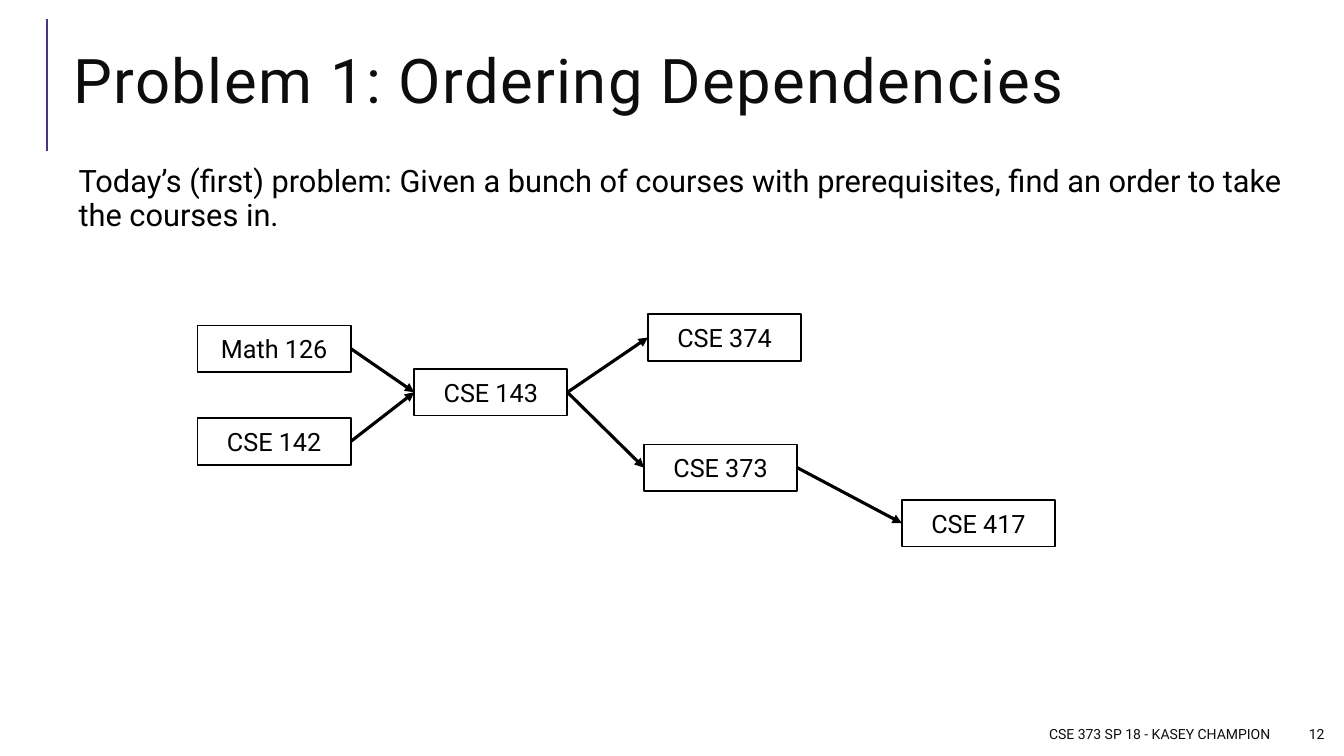
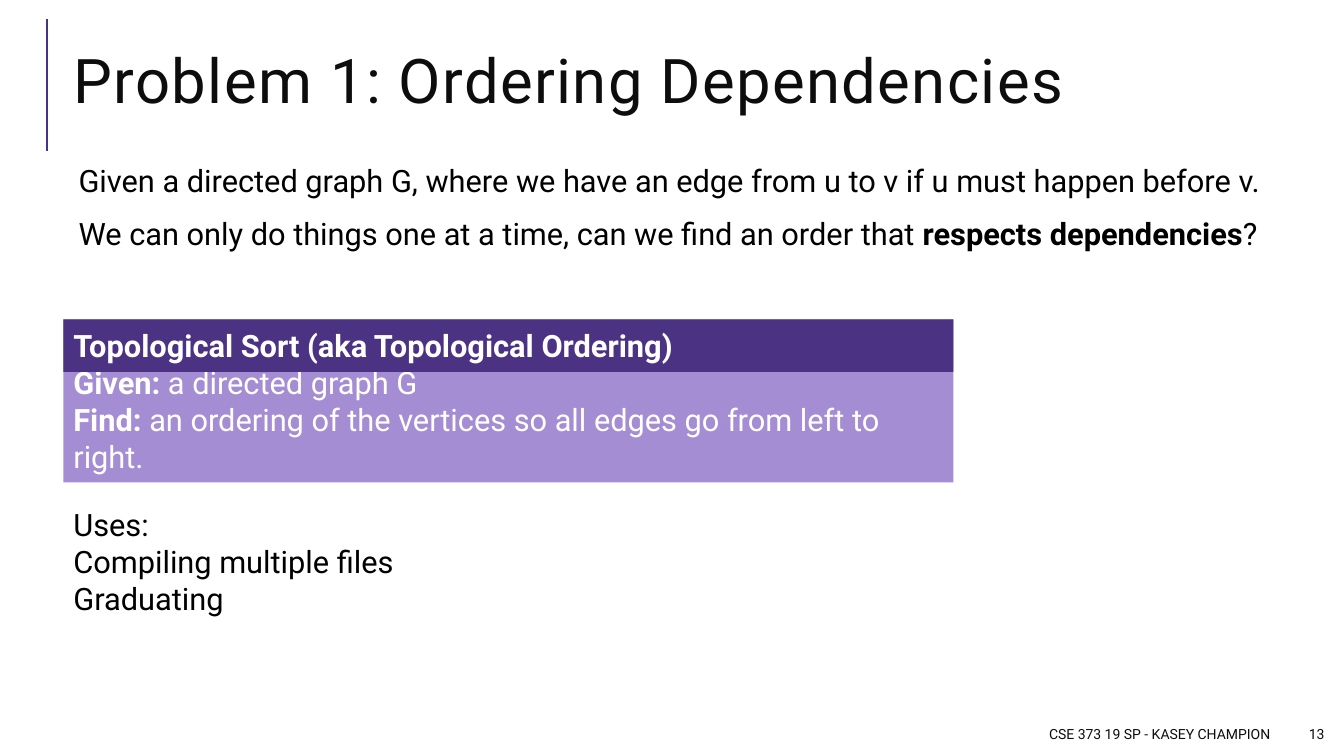
from lxml import etree
from pptx import Presentation
from pptx import util as u
from pptx.dml.color import RGBColor
from pptx.enum import shapes, text
from pptx.oxml import ns

COLORS = {
    "ink": "000000",
    "heading": "0D0D0D",
    "paper": "FFFFFF",
    "purple": "4C3282",
    "lavender": "A48DD3",
}
FONT = "Roboto"
LEFT = 1.6
CONTENT_WIDTH = 31.06
COURSE_SIZE = (3.86, 1.17)


def color(name):
    """Return the named colour."""
    return RGBColor.from_string(COLORS[name])


class Deck:
    """Hold the shared style and the current slide."""

    def __init__(self):
        """Start an empty widescreen presentation."""
        self.presentation = Presentation()
        self.presentation.slide_width = u.Cm(33.87)
        self.presentation.slide_height = u.Cm(19.05)
        self.slide = None

    def new_slide(self, title, footer, number):
        """Add a slide with its rule, title and footer."""
        layout = self.presentation.slide_layouts[1]
        self.slide = self.presentation.slides.add_slide(layout)
        self.line((1.19, 3.81), (1.19, 0.48), "purple", 1.5)
        self.title(title)
        self.footer(footer, 15.88, 16.38)
        self.footer(str(number), 32.46, 1.17)

    def place(self, shape, left, top, width, height):
        """Move and size a shape in centimetres."""
        shape.left, shape.top = u.Cm(left), u.Cm(top)
        shape.width, shape.height = u.Cm(width), u.Cm(height)

    def set_text(self, shape, lines, size, ink="ink",
                 align=text.PP_ALIGN.LEFT, anchor=text.MSO_ANCHOR.MIDDLE):
        """Fill a shape with lines, where ** switches bold on and off."""
        frame = shape.text_frame
        frame.word_wrap = True
        frame.auto_size = text.MSO_AUTO_SIZE.NONE
        frame.vertical_anchor = anchor
        frame.text = "\n".join(lines)
        for paragraph, line in zip(frame.paragraphs, lines):
            paragraph.alignment = align
            pieces = line.split("**")
            paragraph.text = pieces[0]
            for position, piece in enumerate(pieces[1:], 1):
                run = paragraph.add_run()
                run.text = piece
                run.font.bold = position % 2 == 1
            for run in paragraph.runs:
                run.font.name = FONT
                run.font.size = u.Pt(size)
                run.font.color.rgb = color(ink)
        return frame

    def title(self, content):
        """Fill and place the slide title."""
        shape = self.slide.shapes.title
        self.place(shape, LEFT, 0.74, CONTENT_WIDTH, 2.82)
        frame = self.set_text(shape, [content], 44, "heading")
        paragraph = frame.paragraphs[0]
        paragraph.line_spacing = 0.8
        for run in paragraph.runs:
            run._r.get_or_add_rPr().set("spc", "100")

    def body(self, lines, height):
        """Fill the body placeholder without visible bullets."""
        shape = self.slide.placeholders[1]
        self.place(shape, LEFT, 4.06, CONTENT_WIDTH, height)
        frame = self.set_text(shape, lines, 22, anchor=text.MSO_ANCHOR.TOP)
        frame.margin_left = u.Cm(0.38)
        frame.margin_top = frame.margin_right = frame.margin_bottom = u.Cm(0.13)
        for position, paragraph in enumerate(frame.paragraphs):
            properties = paragraph._p.get_or_add_pPr()
            properties.set("marL", "0")
            properties.set("indent", "0")
            etree.SubElement(properties, ns.qn("a:buNone"))
            paragraph.line_spacing = 0.9
            paragraph.space_before = u.Pt(12 if position else 0)
            paragraph.space_after = u.Pt(2)

    def text_box(self, lines, box, size, ink="ink", **layout):
        """Add a wrapped text box."""
        shape = self.slide.shapes.add_textbox(*map(u.Cm, box))
        self.set_text(shape, lines, size, ink, **layout)

    def footer(self, content, left, width):
        """Add one right-aligned footer entry."""
        self.text_box([content], (left, 18.11, width, 0.76), 10, "heading",
                      align=text.PP_ALIGN.RIGHT)

    def rectangle(self, lines, box, size, fill, ink, outline=None, **layout):
        """Add a filled rectangle with text and return it."""
        shape = self.slide.shapes.add_shape(
            shapes.MSO_SHAPE.RECTANGLE, *map(u.Cm, box))
        shape.shadow.inherit = False
        shape.fill.solid()
        shape.fill.fore_color.rgb = color(fill)
        if outline:
            shape.line.color.rgb = color(outline)
            shape.line.width = u.Pt(1.25)
        else:
            shape.line.fill.background()
        self.set_text(shape, lines, size, ink, **layout)
        return shape

    def course(self, name, left, top):
        """Add a course box and return it."""
        return self.rectangle([name], (left, top, *COURSE_SIZE), 18, "paper",
                              "ink", "ink", align=text.PP_ALIGN.CENTER)

    def line(self, start, end, ink, width):
        """Add a straight line without shadow and return it."""
        connector = self.slide.shapes.add_connector(
            shapes.MSO_CONNECTOR.STRAIGHT, *map(u.Cm, (*start, *end)))
        connector.line.color.rgb = color(ink)
        connector.line.width = u.Pt(width)
        etree.SubElement(connector._element.spPr, ns.qn("a:effectLst"))
        return connector

    def arrow(self, source, target):
        """Join the right side of one box to the left side of another."""
        connector = self.line((0, 0), (0, 0), "ink", 2.25)
        connector.begin_connect(source, 3)
        connector.end_connect(target, 1)
        outline = connector._element.spPr.find(ns.qn("a:ln"))
        etree.SubElement(outline, ns.qn("a:tailEnd"), type="triangle")

    def definition(self, heading, lines, left, top, width, height):
        """Add a definition panel under a heading band."""
        panel = self.rectangle(lines, (left, top, width, height), 22,
                               "lavender", "paper")
        panel.text_frame.margin_top = u.Cm(1.06)
        self.rectangle([f"**{heading}**"], (left, top, width, 1.32), 22,
                       "purple", "paper")


def main():
    """Build and save both slides."""
    deck = Deck()
    title = "Problem 1: Ordering Dependencies"

    deck.new_slide(title, "CSE 373 SP 18 - KASEY CHAMPION", 12)
    deck.body(["Today’s (first) problem: Given a bunch of courses with "
               "prerequisites, find an order to take the courses in."], 2.21)
    positions = {
        "Math 126": (4.98, 8.2),
        "CSE 142": (4.98, 10.54),
        "CSE 143": (10.44, 9.3),
        "CSE 373": (16.23, 11.2),
        "CSE 374": (16.33, 7.92),
        "CSE 417": (22.73, 12.6),
    }
    courses = {name: deck.course(name, *position)
               for name, position in positions.items()}
    prerequisites = [
        ("Math 126", "CSE 143"),
        ("CSE 142", "CSE 143"),
        ("CSE 143", "CSE 374"),
        ("CSE 143", "CSE 373"),
        ("CSE 373", "CSE 417"),
    ]
    for earlier, later in prerequisites:
        deck.arrow(courses[earlier], courses[later])

    deck.new_slide(title, "CSE 373 19 SP - KASEY CHAMPION", 13)
    deck.body(["Given a directed graph G, where we have an edge from u to v "
               "if u must happen before v.",
               "We can only do things one at a time, can we find an order "
               "that **respects dependencies**?"], 3.99)
    deck.definition("Topological Sort (aka Topological Ordering)",
                    ["**Given: **a directed graph G",
                     "**Find: **an ordering of the vertices so all edges go "
                     "from left to right."],
                    LEFT, 8.05, 22.43, 4.11)
    deck.text_box(["Uses:", "Compiling multiple files", "Graduating"],
                  (LEFT, 12.62, 30.68, 3.07), 22, anchor=text.MSO_ANCHOR.TOP)

    deck.presentation.save("out.pptx")


if __name__ == "__main__":
    main()
